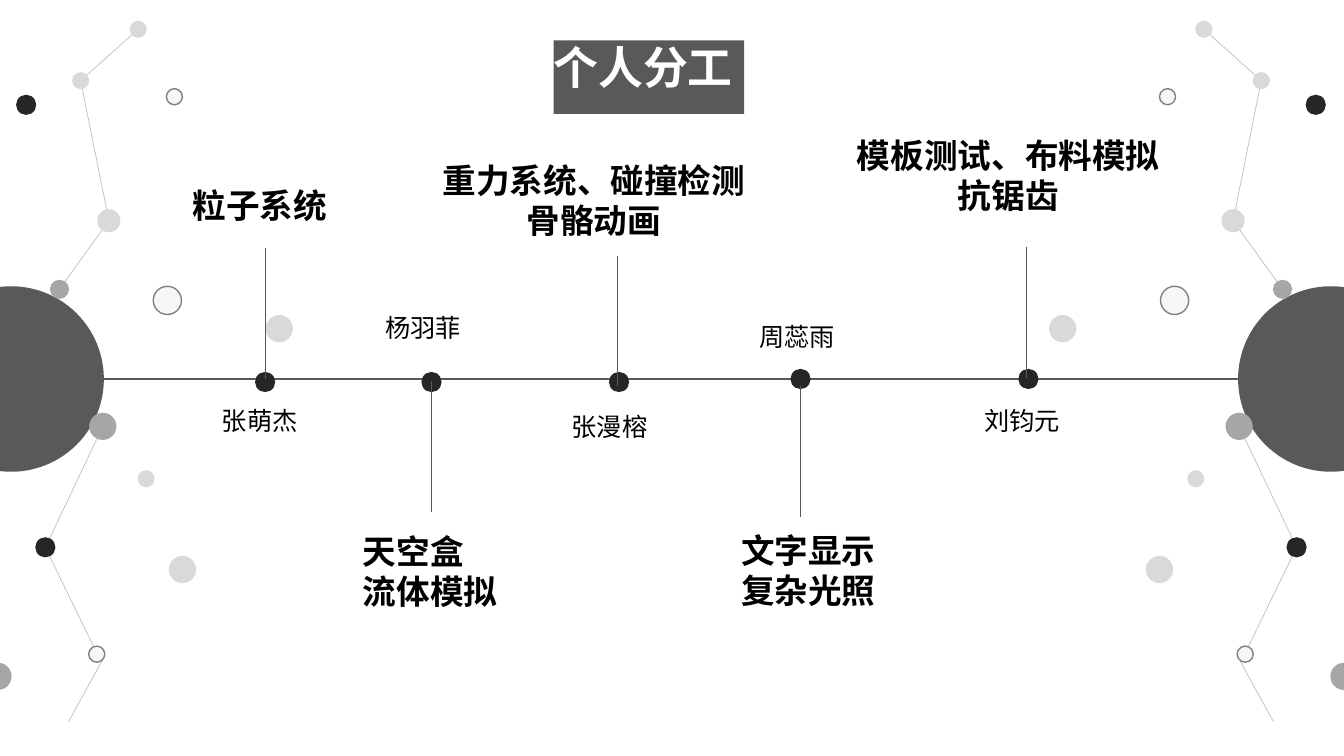
from dataclasses import dataclass

from pptx import Presentation
from pptx import util as u
from pptx.dml.color import RGBColor
from pptx.enum import shapes, text
from pptx.oxml import ns
from lxml import etree


@dataclass(frozen=True)
class Theme:
    font: str = "Noto Sans CJK SC"
    white: str = "FFFFFF"
    black: str = "000000"
    dark: str = "595959"
    node: str = "262626"
    mid: str = "A6A6A6"
    light: str = "D9D9D9"
    pale: str = "F7F7F7"
    ring: str = "808080"
    thread: str = "BFBFBF"
    title_size: int = 32
    task_size: int = 24
    name_size: int = 18
    line_height: float = 1.19


THEME = Theme()
AXIS_Y = 3.76
MIRROR_SUM = 13.31  # x of a left part plus x of its right twin

# Side decoration, given for the left: x, y, diameter, colour
SIDE_DOTS = [
    (0.26, 1.04, 0.20, THEME.node),
    (-0.02, 6.71, 0.27, THEME.mid),
    (0.96, 6.49, 0.16, THEME.pale),
    (1.73, 0.96, 0.16, THEME.pale),
    (0.80, 0.80, 0.17, THEME.light),
    (0.59, 2.87, 0.19, THEME.mid),
    (1.02, 4.23, 0.27, THEME.mid),
    (0.45, 5.43, 0.20, THEME.node),
    (1.37, 0.29, 0.17, THEME.light),
    (1.45, 4.75, 0.17, THEME.light),
    (2.77, 3.26, 0.27, THEME.light),
    (1.81, 5.65, 0.27, THEME.light),
    (1.66, 2.98, 0.28, THEME.pale),
    (1.08, 2.19, 0.23, THEME.light),
]
SIDE_THREADS = [
    [(1.37, 0.29), (0.80, 0.80), (1.08, 2.19), (0.59, 2.87)],
    [(1.02, 4.23), (0.45, 5.43), (0.96, 6.48)],
    [(1.02, 6.54), (0.68, 7.16)],
]

# Dot centre, stem (x, start, end), name and its corner, tasks and their box, alignment
LEFT, CENTER = text.PP_ALIGN.LEFT, text.PP_ALIGN.CENTER
MEMBERS = [
    ((2.63, 3.79), (2.63, 3.76, 2.46), "张萌杰", (2.15, 3.97),
     ["粒子系统"], (1.86, 1.79, 1.75, 0.56), LEFT),
    ((4.28, 3.79), (4.28, 5.08, 3.78), "杨羽菲", (3.77, 3.05),
     ["天空盒", "流体模拟"], (3.55, 5.22, 1.75, 1.02), LEFT),
    ((6.14, 3.79), (6.12, 3.83, 2.54), "张漫榕", (5.62, 4.03),
     ["重力系统、碰撞检测", "骨骼动画"], (4.29, 1.54, 3.2, 1.02), CENTER),
    ((7.94, 3.76), (7.94, 5.13, 3.83), "周蕊雨", (7.48, 3.14),
     ["文字显示", "复杂光照"], (7.30, 5.21, 1.75, 1.02), LEFT),
    ((10.20, 3.76), (10.18, 3.75, 2.45), "刘钧元", (9.71, 3.97),
     ["模板测试、布料模拟", "抗锯齿"], (8.40, 1.29, 3.2, 1.02), CENTER),
]


def add_line(slide, start, end, color, width):
    points = [u.Inches(value) for value in (*start, *end)]
    line = slide.shapes.add_connector(shapes.MSO_CONNECTOR.STRAIGHT, *points)
    line.line.color.rgb = RGBColor.from_string(color)
    line.line.width = u.Pt(width)
    etree.SubElement(line._element.spPr, ns.qn("a:effectLst"))


def add_dot(slide, x, y, diameter, color):
    corner = (x - diameter / 2, y - diameter / 2)
    box = [u.Inches(value) for value in (*corner, diameter, diameter)]
    dot = slide.shapes.add_shape(shapes.MSO_SHAPE.OVAL, *box)
    dot.shadow.inherit = False
    dot.fill.solid()
    dot.fill.fore_color.rgb = RGBColor.from_string(color)
    if color == THEME.pale:
        dot.line.color.rgb = RGBColor.from_string(THEME.ring)
        dot.line.width = u.Pt(1)
    else:
        dot.line.fill.background()


def write_text(shape, lines, size, color, bold, align, inset, wrap):
    frame = shape.text_frame
    frame_format = {"word_wrap": wrap, "vertical_anchor": text.MSO_ANCHOR.TOP,
                    "auto_size": text.MSO_AUTO_SIZE.NONE}
    for side in ("left", "top", "right", "bottom"):
        frame_format[f"margin_{side}"] = u.Inches(inset)
    for name, value in frame_format.items():
        setattr(frame, name, value)
    for index, words in enumerate(lines):
        paragraph = frame.paragraphs[0] if index == 0 else frame.add_paragraph()
        paragraph.alignment = align
        paragraph.line_spacing = u.Pt(size * THEME.line_height)
        run = paragraph.add_run()
        run.text = words
        for name, value in {"name": THEME.font, "size": u.Pt(size), "bold": bold}.items():
            setattr(run.font, name, value)
        run.font.color.rgb = RGBColor.from_string(color)
        # East Asian letters take their own typeface
        east_asian = etree.SubElement(run._r.get_or_add_rPr(), ns.qn("a:ea"))
        east_asian.set("typeface", THEME.font)


def place_title(slide, words):
    title = slide.shapes.title
    box = {"left": 5.49, "top": 0.4, "width": 1.89, "height": 0.73}
    for name, value in box.items():
        setattr(title, name, u.Inches(value))
    title.fill.solid()
    title.fill.fore_color.rgb = RGBColor.from_string(THEME.dark)
    write_text(title, [words], THEME.title_size, THEME.white, True, LEFT, 0, False)


def add_label(slide, box, lines, size, bold, align):
    label = slide.shapes.add_textbox(*[u.Inches(value) for value in box])
    write_text(label, lines, size, THEME.black, bold, align, 0.05, True)


def add_side(slide, mirrored):
    def place(x):
        return MIRROR_SUM - x if mirrored else x

    add_dot(slide, place(0.11), AXIS_Y, 1.84, THEME.dark)
    for thread in SIDE_THREADS:
        for (x1, y1), (x2, y2) in zip(thread, thread[1:]):
            add_line(slide, (place(x1), y1), (place(x2), y2), THEME.thread, 0.5)
    for x, y, diameter, color in SIDE_DOTS:
        add_dot(slide, place(x), y, diameter, color)


def add_member(slide, dot, stem, name, name_corner, tasks, task_box, align):
    add_dot(slide, *dot, 0.2, THEME.node)
    x, start, end = stem
    add_line(slide, (x, start), (x, end), THEME.dark, 0.75)
    add_label(slide, (*name_corner, 1.02, 0.45), [name], THEME.name_size, False, LEFT)
    add_label(slide, task_box, tasks, THEME.task_size, True, align)


def main():
    presentation = Presentation()
    presentation.slide_width = u.Inches(13.33)
    presentation.slide_height = u.Inches(7.5)
    slide = presentation.slides.add_slide(presentation.slide_layouts[5])

    # Title and time axis
    place_title(slide, "个人分工")
    add_line(slide, (0.99, AXIS_Y), (12.32, AXIS_Y), THEME.dark, 0.75)

    # Decoration on both sides
    for mirrored in (True, False):
        add_side(slide, mirrored)

    # Members and their tasks
    for member in MEMBERS:
        add_member(slide, *member)

    presentation.save("out.pptx")


if __name__ == "__main__":
    main()
